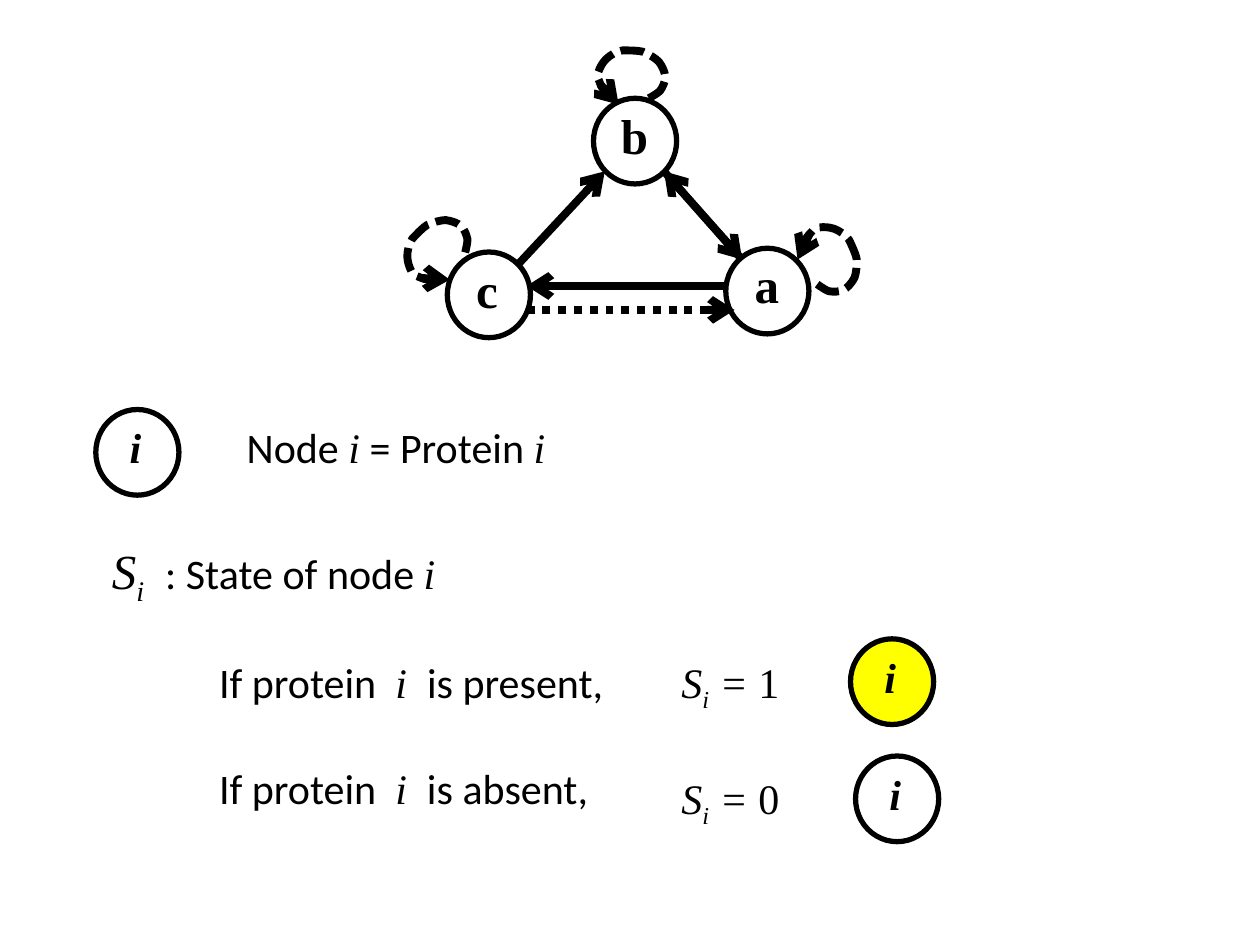
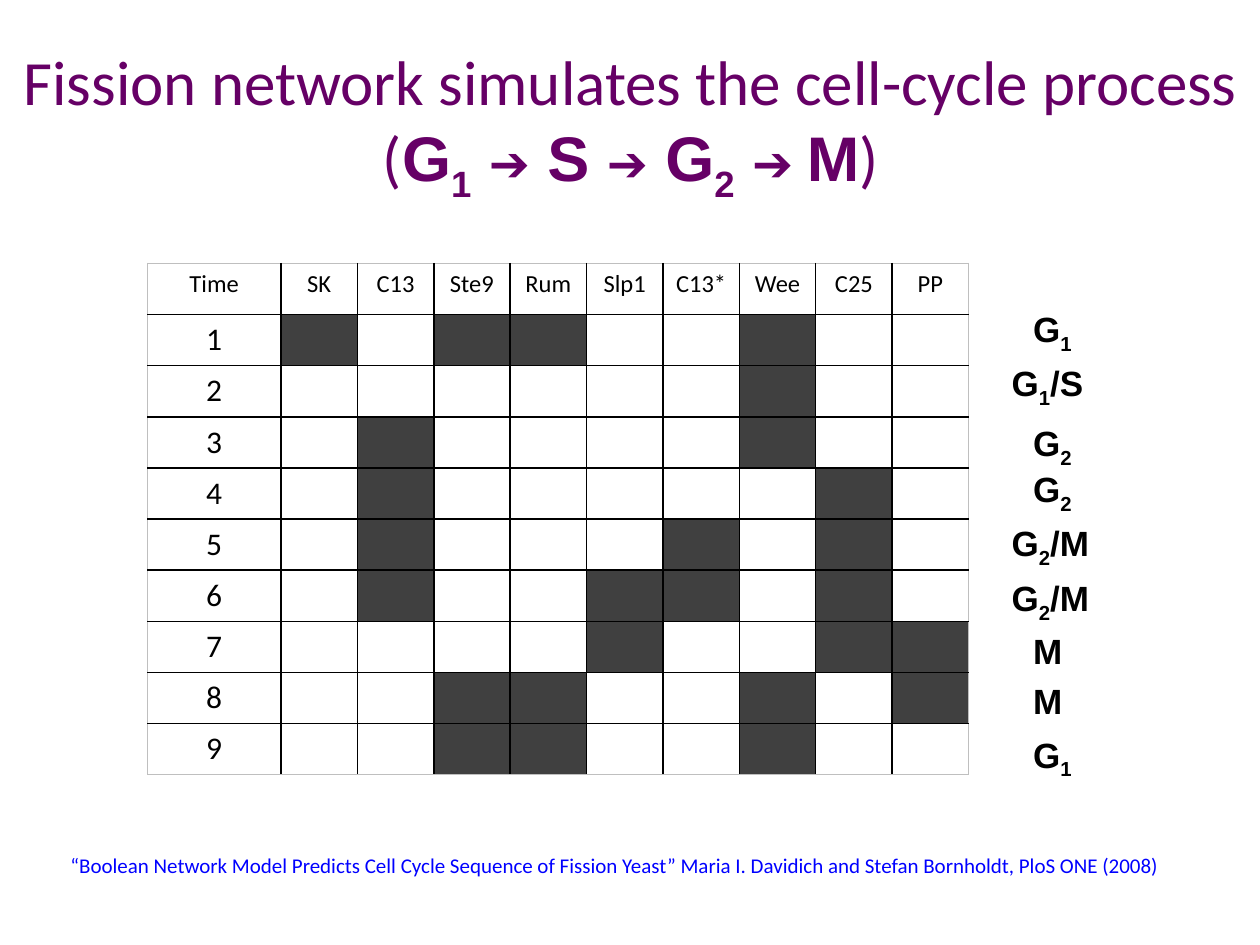
from dataclasses import dataclass

from lxml import etree
from pptx import Presentation
from pptx.dml.color import RGBColor
from pptx.enum.shapes import MSO_CONNECTOR as CONN, MSO_SHAPE as SHAPE
from pptx.enum.text import MSO_ANCHOR as ANCHOR, MSO_AUTO_SIZE as FIT, PP_ALIGN as ALIGN
from pptx.oxml.ns import qn
from pptx.util import Inches, Pt


@dataclass(frozen=True)
class Theme:
    black: str = "000000"
    white: str = "FFFFFF"
    present: str = "FFFF00"
    active: str = "404040"
    frame: str = "BFBFBF"
    title: str = "660066"
    cite: str = "0000FF"
    sans: str = "Calibri"
    serif: str = "Times New Roman"
    bold_sans: str = "Arial"
    node_line: float = 3
    edge_line: float = 4.5


T = Theme()

# Text styles: font, size, flags (b bold, i italic, s subscript)
STYLES = {
    "body": (T.sans, 24, ""),
    "var": (T.serif, 24, "i"),
    "sub": (T.serif, 24, "is"),
    "num": (T.serif, 24, ""),
    "big": (T.serif, 28, "i"),
    "bigsub": (T.serif, 28, "is"),
    "name": (T.serif, 28, "b"),
    "index": (T.serif, 24, "bi"),
    "title": (T.sans, 36, ""),
    "phase": (T.bold_sans, 36, "b"),
    "phasesub": (T.bold_sans, 36, "bs"),
    "arrow": (T.bold_sans, 28, ""),
    "gap": (T.bold_sans, 36, ""),
    "state": (T.bold_sans, 20, "b"),
    "statesub": (T.bold_sans, 20, "bs"),
    "cite": (T.sans, 12, ""),
    "head": (T.sans, 14, ""),
    "time": (T.sans, 18, ""),
}

# Slide 1: network, nodes as label, left, top, fill
NODES = [
    ("i", 6.74, 5.08, T.present),
    ("i", 6.78, 6.01, None),
    ("i", 0.75, 3.26, None),
    ("a", 5.75, 1.98, None),
    ("b", 4.70, 0.79, None),
    ("c", 3.54, 2.01, T.white),
]
NODE_SIZE = (0.68, 0.66)
LABELS = {  # style, offset from node, size
    "a": ("name", 0.14, -0.01, 0.40, 0.57),
    "b": ("name", 0.13, 0, 0.42, 0.57),
    "c": ("name", 0.14, 0, 0.38, 0.57),
    "i": ("index", 0.18, 0.04, 0.43, 0.50),
}

EDGES = [  # from, to, dash
    ((5.77, 2.27), (4.18, 2.27), None),
    ((5.89, 2.06), (5.27, 1.36), None),
    ((5.27, 1.36), (5.89, 2.06), None),
    ((4.18, 2.46), (5.83, 2.46), "sysDot"),
    ((4.11, 2.10), (4.80, 1.36), None),
]

# Self-loop from its top-left corner: start, then Bezier triples
LOOP = [
    (0.12, 0.37),
    (0.09, 0.35), (0.06, 0.33), (0.04, 0.31),
    (0.02, 0.29), (0.01, 0.25), (0, 0.23),
    (0, 0.20), (0, 0.19), (0, 0.17),
    (0.01, 0.14), (0.03, 0.10), (0.06, 0.07),
    (0.09, 0.04), (0.14, 0.01), (0.19, 0),
    (0.24, 0), (0.31, 0), (0.35, 0.01),
    (0.40, 0.03), (0.45, 0.06), (0.48, 0.09),
    (0.51, 0.13), (0.53, 0.18), (0.53, 0.21),
    (0.53, 0.25), (0.51, 0.29), (0.49, 0.32),
    (0.46, 0.35), (0.38, 0.39), (0.38, 0.39),
]
LOOPS = [  # left, top, turn, arrow from, arrow to
    (6.33, 1.86, 64.6, (6.40, 1.91), (6.33, 2.06)),
    (3.20, 1.78, 313.4, (3.40, 2.21), (3.57, 2.22)),
    (4.75, 0.40, 0.1, (4.80, 0.71), (4.91, 0.83)),
]

LEGEND = [  # box, runs
    ((1.86, 3.30, 2.61, 0.50), [("Node ", "body"), ("i", "var"),
                                (" = Protein ", "body"), ("i", "var")]),
    ((0.79, 4.24, 2.87, 0.57), [("S", "big"), ("i", "bigsub"), ("  ", "var"),
                                (": State of node ", "body"), ("i", "var")]),
]
CASES = [  # word, value, text width, text top, equation top
    ("present", "1", 3.29, 5.16, 5.16),
    ("absent", "0", 3.17, 6.00, 6.08),
]

# Slide 2: time course
TITLE = [
    ("Fission network simulates the cell-cycle process", "title"), ("\n", "title"),
    ("(", "title"), ("G", "phase"), ("1", "phasesub"), (" ", "gap"), ("➔", "arrow"),
    (" ", "gap"), ("S ", "phase"), ("➔", "arrow"), (" ", "gap"), ("G", "phase"),
    ("2", "phasesub"), (" ", "gap"), ("➔ ", "arrow"), ("M", "phase"), (")", "title"),
]
CITATION = ("“Boolean Network Model Predicts Cell Cycle Sequence of Fission Yeast” "
            "Maria I. Davidich and Stefan Bornholdt, PloS ONE (2008)")
PROTEINS = ["SK", "C13", "Ste9", "Rum", "Slp1", "C13*", "Wee", "C25", "PP"]
STEPS = [  # phase, label top, active proteins
    ("G1", 2.39, "SK Ste9 Rum Wee"),
    ("G1/S", 2.82, "Wee"),
    ("G2", 3.30, "C13 Wee"),
    ("G2", 3.66, "C13 C25"),
    ("G2/M", 4.09, "C13 C13* C25"),
    ("G2/M", 4.53, "C13 Slp1 C13* C25"),
    ("M", 4.95, "Slp1 C25 PP"),
    ("M", 5.34, "Ste9 Rum Wee PP"),
    ("G1", 5.77, "Ste9 Rum Wee"),
]
TABLE_BOX = (1.17, 2.09, 6.52, 4.06)
TIME_W = 1.06
PROTEIN_W = (TABLE_BOX[2] - TIME_W) / len(PROTEINS)
ROW_H = TABLE_BOX[3] / (len(STEPS) + 1)


def rgb(color):
    return RGBColor.from_string(color)


def write(p, runs, color=T.black, align=ALIGN.LEFT):
    p.alignment = align
    for text, style in runs:
        if text == "\n":
            p.add_line_break()
            continue
        font, size, flags = STYLES[style]
        r = p.add_run()
        r.text = text
        r.font.name, r.font.size = font, Pt(size)
        r.font.bold, r.font.italic = "b" in flags, "i" in flags
        r.font.color.rgb = rgb(color)
        if "s" in flags:
            r.font._element.set("baseline", "-25000")


def add_text(slide, box, runs, wrap=False, color=T.black):
    tf = slide.shapes.add_textbox(*map(Inches, box)).text_frame
    tf.word_wrap, tf.auto_size = wrap, FIT.SHAPE_TO_FIT_TEXT
    write(tf.paragraphs[0], runs, color)
    return tf


def style_line(sp, width, dash=None, arrow=False):
    sp.line.color.rgb, sp.line.width = rgb(T.black), Pt(width)
    ln = sp.line._get_or_add_ln()
    if dash:
        etree.SubElement(ln, qn("a:prstDash"), val=dash)
    if arrow:
        etree.SubElement(ln, qn("a:tailEnd"), type="arrow")


def add_arrow(slide, start, end, dash=None):
    sp = slide.shapes.add_connector(CONN.STRAIGHT, *map(Inches, (*start, *end)))
    style_line(sp, T.edge_line, dash, arrow=True)
    etree.SubElement(sp._element.spPr, qn("a:effectLst"))


def add_node(slide, label, left, top, fill):
    sp = slide.shapes.add_shape(SHAPE.OVAL, *map(Inches, (left, top, *NODE_SIZE)))
    sp.rotation = 90
    sp.shadow.inherit = False
    if fill:
        sp.fill.solid()
        sp.fill.fore_color.rgb = rgb(fill)
    else:
        sp.fill.background()
    style_line(sp, T.node_line)
    style, dx, dy, width, height = LABELS[label]
    add_text(slide, (left + dx, top + dy, width, height), [(label, style)])


def add_loop(slide, left, top, turn, start, end):
    points = [(Inches(left + x), Inches(top + y)) for x, y in LOOP]
    builder = slide.shapes.build_freeform(*points[0])
    builder.add_line_segments(points[1:], close=False)
    sp = builder.convert_to_shape()

    # Join each three segments into one curve
    segments = list(sp._element.iter(qn("a:lnTo")))
    for k in range(0, len(segments), 3):
        curve = etree.Element(qn("a:cubicBezTo"))
        segments[k].addprevious(curve)
        for segment in segments[k:k + 3]:
            curve.append(segment[0])
            segment.getparent().remove(segment)

    sp.rotation = turn
    sp.shadow.inherit = False
    sp.fill.background()
    style_line(sp, T.edge_line, "sysDash")
    add_arrow(slide, start, end)


def set_borders(cell, outer):
    """Black grid inside the table, thin grey on its outer sides."""
    tc_pr = cell._tc.get_or_add_tcPr()
    for n, side in enumerate("LRTB"):
        width, color = (0.5, T.frame) if side in outer else (1, T.black)
        ln = etree.Element(qn(f"a:ln{side}"), w=str(Pt(width)))
        fill = etree.SubElement(ln, qn("a:solidFill"))
        etree.SubElement(fill, qn("a:srgbClr"), val=color)
        tc_pr.insert(n, ln)


def build_network(slide):
    for box, runs in LEGEND:
        add_text(slide, box, runs)
    for word, value, width, top, eq_top in CASES:
        add_text(slide, (1.64, top, width, 0.5),
                 [("If protein  ", "body"), ("i ", "var"), (f" is {word},", "body")])
        add_text(slide, (5.31, eq_top, 1.04, 0.5),
                 [("S", "var"), ("i", "sub"), (" = ", "var"), (value, "num")])
    for node in NODES:
        add_node(slide, *node)
    for edge in EDGES:
        add_arrow(slide, *edge)
    for loop in LOOPS:
        add_loop(slide, *loop)


def build_time_course(slide):
    tf = add_text(slide, (0.01, 0.12, 9.99, 1.72), TITLE, True, T.title)
    tf.auto_size, tf.vertical_anchor = FIT.NONE, ANCHOR.MIDDLE
    tf.paragraphs[0].alignment = ALIGN.CENTER
    add_text(slide, (0.46, 6.72, 8.99, 0.3), [(CITATION, "cite")], True, T.cite)

    # Activity table
    rows, cols = len(STEPS) + 1, len(PROTEINS) + 1
    table = slide.shapes.add_table(rows, cols, *map(Inches, TABLE_BOX)).table
    table.first_row = table.horz_banding = False
    for n, col in enumerate(table.columns):
        col.width = Inches(PROTEIN_W if n else TIME_W)
    for y, row in enumerate(table.rows):
        row.height = Inches(ROW_H)
        active = STEPS[y - 1][2].split() if y else []
        for x, cell in enumerate(row.cells):
            on = x > 0 and PROTEINS[x - 1] in active
            cell.fill.solid()
            cell.fill.fore_color.rgb = rgb(T.active if on else T.white)
            edges = {"L": x == 0, "R": x == cols - 1, "T": y == 0, "B": y == rows - 1}
            set_borders(cell, [side for side, is_outer in edges.items() if is_outer])
            p = cell.text_frame.paragraphs[0]
            if y == 0:
                write(p, [(["Time", *PROTEINS][x], "head")], align=ALIGN.CENTER)
            elif x == 0:
                write(p, [(str(y), "time")], align=ALIGN.CENTER)

    # Phase beside each step
    for phase, top, _ in STEPS:
        left, width = (7.93, 0.89) if "/" in phase else (8.10, 0.55)
        parts = [phase[:1], phase[1:2], phase[2:]]
        runs = [(part, "statesub" if part.isdigit() else "state")
                for part in parts if part]
        add_text(slide, (left, top, width, 0.44), runs, True)


def main():
    prs = Presentation()
    prs.slide_width, prs.slide_height = Inches(10), Inches(7.5)
    for build in (build_network, build_time_course):
        build(prs.slides.add_slide(prs.slide_layouts[6]))
    prs.save("out.pptx")


if __name__ == "__main__":
    main()
